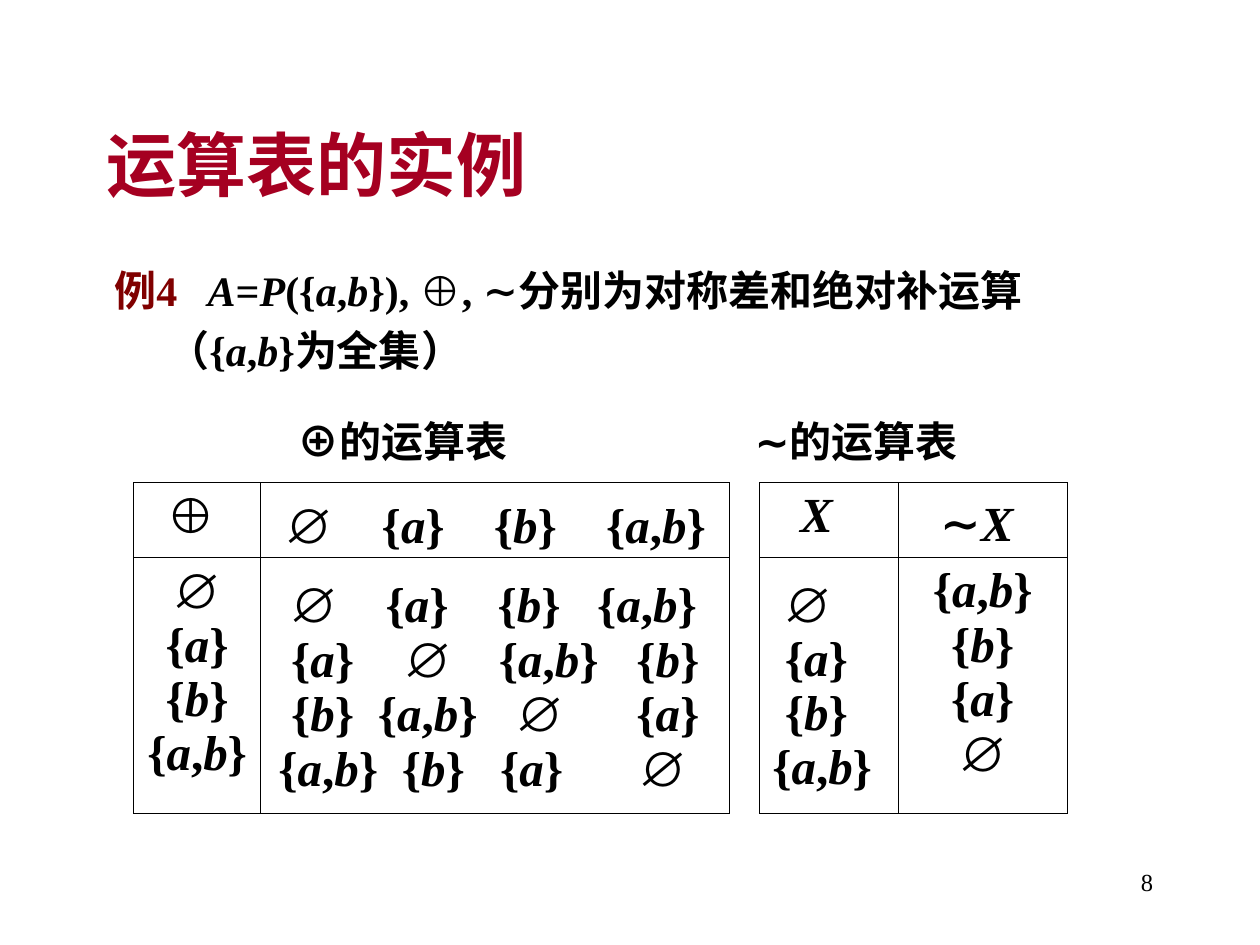
from itertools import accumulate, groupby

from lxml import etree
from pptx import Presentation
from pptx import util as u
from pptx.dml.color import RGBColor
from pptx.enum import text
from pptx.oxml import ns

BLACK = RGBColor(0, 0, 0)
CRIMSON = RGBColor(0xA5, 0x00, 0x21)
MAROON = RGBColor(0x80, 0x00, 0x00)
SERIF, SYMBOL = "Times New Roman", "Arial"
VARIABLES, OPERATORS = "abAPX", "⊕∅"
LEFT, CENTER, RIGHT = text.PP_ALIGN.LEFT, text.PP_ALIGN.CENTER, text.PP_ALIGN.RIGHT

COLUMNS = (1.01, 3.72, 0.24, 1.1, 1.34)
ROWS = (0.57, 1.97)
GAP = 2
BORDER = u.Pt(0.45)

SUBSETS = ("∅", "{a}", "{b}", "{a,b}")
SYMMETRIC_DIFFERENCE = [[SUBSETS[i ^ j] for j in range(4)] for i in range(4)]
HEADER_STOPS = (0.09, 0.86, 1.75, 2.64)
BODY_STOPS = ((0.13, 0.89, 1.78, 2.57), (0.14, 1.03, 1.79, 2.88),
              (0.14, 0.83, 1.92, 2.88), (0.04, 1.02, 1.8, 2.9))
COMPLEMENT_STOPS = ((0.09,), (0.1,), (0.1,), ())


def glyph_style(char):
    return (SYMBOL if char in OPERATORS else SERIF), char in VARIABLES


def write(paragraph, content, size, color=BLACK, bold=True):
    for (face, italic), chars in groupby(content, glyph_style):
        run = paragraph.add_run()
        run.text = "".join(chars)
        font = run.font
        font.name, font.size = face, u.Pt(size)
        font.bold, font.italic = bold, italic
        font.color.rgb = color


def set_stops(paragraph, stops):
    properties = paragraph._p.get_or_add_pPr()
    tab_list = etree.SubElement(properties, ns.qn("a:tabLst"))
    for stop in stops:
        etree.SubElement(tab_list, ns.qn("a:tab"),
                         pos=str(u.Inches(stop)), algn="l")


def add_box(slide, left, top, width, height, anchor=text.MSO_ANCHOR.TOP):
    frame = slide.shapes.add_textbox(
        *map(u.Inches, (left, top, width, height))).text_frame
    frame.word_wrap = True
    frame.vertical_anchor = anchor
    return frame


def next_paragraph(frame, index):
    return frame.add_paragraph() if index else frame.paragraphs[0]


def add_statement(slide):
    lines = (
        ("例4", "\tA=P({a,b}), ⊕, ∼分别为对称差和绝对补运算", (0.74,), 1.2),
        ("", "\t（{a,b}为全集）", (0.42,), 1.2),
        ("", "\t⊕的运算表\t∼的运算表", (1.45, 5.08), 1.8),
    )
    frame = add_box(slide, 0.81, 1.97, 8.05, 1.78)
    for index, (label, content, stops, spacing) in enumerate(lines):
        paragraph = next_paragraph(frame, index)
        paragraph.line_spacing = spacing
        set_stops(paragraph, stops)
        write(paragraph, label, 24, MAROON)
        write(paragraph, content, 24)


def draw_borders(cell, visible):
    properties = cell._tc.get_or_add_tcPr()
    for index, side in enumerate("LRTB"):
        line = etree.Element(ns.qn(f"a:ln{side}"), w=str(BORDER))
        if side in visible:
            fill = etree.SubElement(line, ns.qn("a:solidFill"))
            etree.SubElement(fill, ns.qn("a:srgbClr"), val=str(BLACK))
        else:
            etree.SubElement(line, ns.qn("a:noFill"))
        properties.insert(index, line)


def fill_cell(cell, lines, align=LEFT, stops=None, top=0.05):
    cell.margin_top, cell.margin_bottom = u.Inches(top), 0
    for index, line in enumerate(lines):
        paragraph = next_paragraph(cell.text_frame, index)
        paragraph.alignment = align
        if stops:
            set_stops(paragraph, stops[index])
        write(paragraph, line, 28)


def tabbed(entries):
    return "".join("\t" + entry for entry in entries)


def add_operation_tables(slide):
    table = slide.shapes.add_table(
        len(ROWS), len(COLUMNS), u.Inches(1.06), u.Inches(3.83),
        u.Inches(sum(COLUMNS)), u.Inches(sum(ROWS))).table
    table.first_row = table.horz_banding = False
    for column, width in zip(table.columns, COLUMNS):
        column.width = u.Inches(width)
    for row, height in zip(table.rows, ROWS):
        row.height = u.Inches(height)
        for index, cell in enumerate(row.cells):
            cell.fill.background()
            draw_borders(cell, "LR" if index == GAP else "LRTB")
    table.cell(0, GAP).merge(table.cell(1, GAP))

    fill_cell(table.cell(0, 0), ["⊕ "], CENTER)
    fill_cell(table.cell(0, 1), [tabbed(SUBSETS)], stops=[HEADER_STOPS], top=0.13)
    fill_cell(table.cell(0, 3), ["\tX"], stops=[(0.22,)])
    fill_cell(table.cell(0, 4), ["\t∼X"], stops=[(0.23,)], top=0.12)

    fill_cell(table.cell(1, 0), SUBSETS, CENTER)
    fill_cell(table.cell(1, 1), map(tabbed, SYMMETRIC_DIFFERENCE),
              stops=BODY_STOPS, top=0.16)
    operands = ["\t" * len(stops) + subset
                for stops, subset in zip(COMPLEMENT_STOPS, SUBSETS)]
    fill_cell(table.cell(1, 3), operands, stops=COMPLEMENT_STOPS, top=0.16)
    fill_cell(table.cell(1, 4), SUBSETS[::-1], CENTER)


def main():
    deck = Presentation()
    deck.slide_width, deck.slide_height = u.Inches(10), u.Inches(7.5)
    slide = deck.slides.add_slide(deck.slide_layouts[6])

    page_number = add_box(slide, 7.17, 6.83, 2.08, 0.5).paragraphs[0]
    page_number.alignment = RIGHT
    write(page_number, "8", 14, bold=False)

    title = add_box(slide, 0.75, 0.67, 8.5, 1.25, text.MSO_ANCHOR.MIDDLE)
    write(title.paragraphs[0], "运算表的实例", 40, CRIMSON)

    add_statement(slide)
    add_operation_tables(slide)
    deck.save("out.pptx")


if __name__ == "__main__":
    main()
